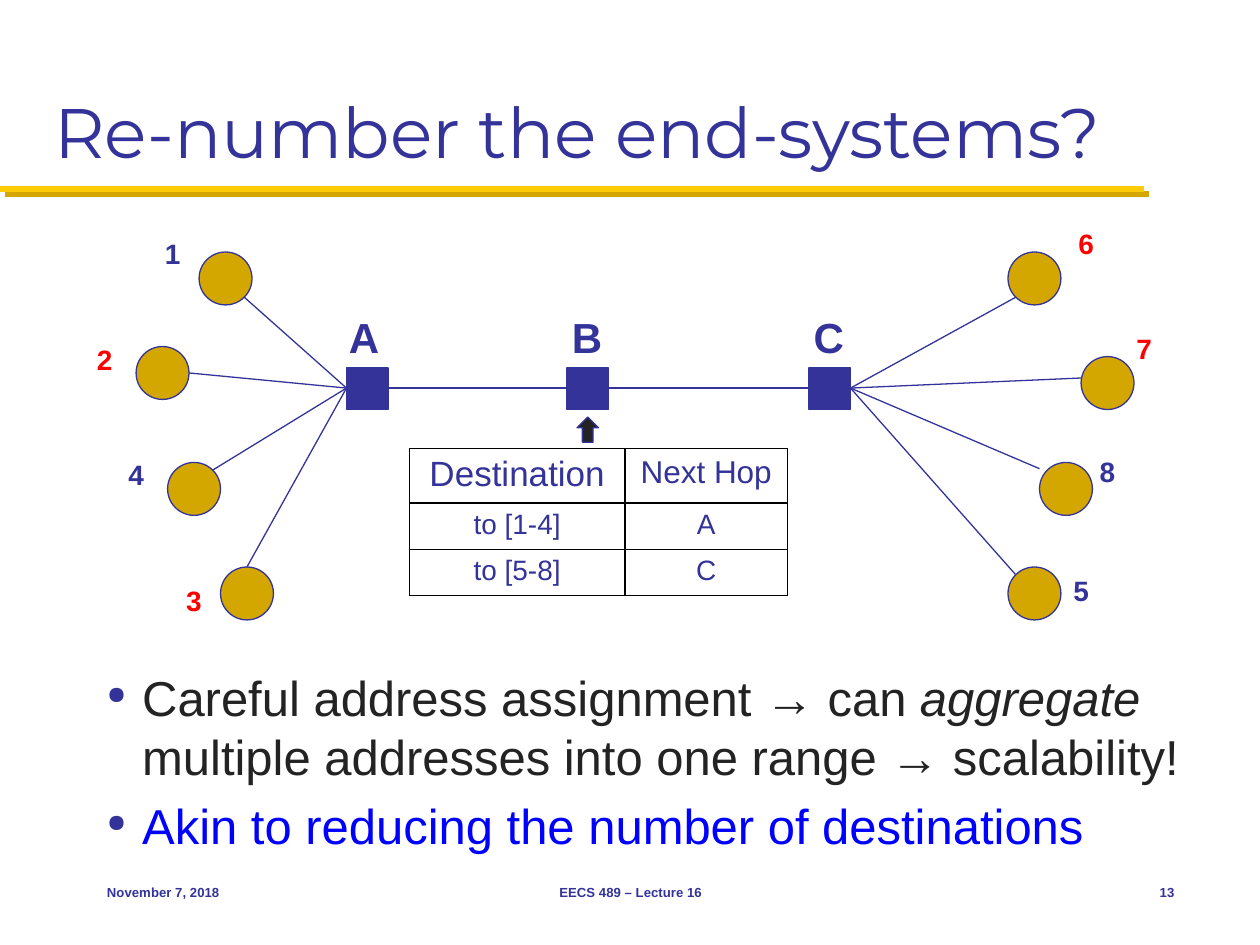
from dataclasses import dataclass

from lxml import etree
from pptx import Presentation
from pptx import util as u
from pptx.dml.color import RGBColor
from pptx.enum import shapes, text
from pptx.oxml.ns import qn

NAVY = RGBColor(0x33, 0x33, 0x99)
GOLD = RGBColor(0xD3, 0xA6, 0x00)
MAIZE = RGBColor(0xFF, 0xCB, 0x05)
INK = RGBColor(0x23, 0x23, 0x23)
RED = RGBColor(0xFF, 0, 0)
BLUE = RGBColor(0, 0, 0xFF)
WHITE = RGBColor(0xFF, 0xFF, 0xFF)
SHAPE = shapes.MSO_SHAPE
ALIGN = text.PP_ALIGN
ANCHOR = text.MSO_ANCHOR
Point = tuple[float, float]

HUB = 0.33
DISC = 0.42
MID = 3.08  # height of the links between routers


@dataclass
class Router:
    name: str
    left: float
    label: Point


@dataclass
class Host:
    name: str
    color: RGBColor
    spot: Point
    label: Point
    port: Point  # where the link leaves the host


ROUTERS = [
    Router("A", 2.75, (2.67, 2.42)),
    Router("B", 4.5, (4.44, 2.42)),
    Router("C", 6.42, (6.36, 2.42)),
]
WEST = [
    Host("1", NAVY, (1.58, 2), (1.21, 1.83), (1.94, 2.36)),
    Host("2", RED, (1.08, 2.75), (0.67, 2.67), (1.5, 2.96)),
    Host("3", RED, (1.75, 4.5), (1.38, 4.58), (1.96, 4.5)),
    Host("4", NAVY, (1.33, 3.67), (0.92, 3.58), (1.69, 3.73)),
]
EAST = [
    Host("5", NAVY, (8, 4.5), (8.42, 4.5), (8.06, 4.56)),
    Host("6", RED, (8, 2), (8.46, 1.75), (8.06, 2.36)),
    Host("7", RED, (8.58, 2.83), (8.92, 2.58), (8.58, 3)),
    Host("8", NAVY, (8.25, 3.67), (8.63, 3.56), (8.25, 3.72)),
]


def style(par, size: float, color: RGBColor = NAVY, bold: bool = False,
          face: str = "Arial") -> None:
    font = par.font
    font.name, font.size, font.bold = face, u.Pt(size), bold
    font.color.rgb = color


def draw_line(slide, start: Point, end: Point, color: RGBColor = NAVY,
              width: float = 0.75):
    """Draw a straight line and return its empty effect list."""
    line = slide.shapes.add_connector(
        shapes.MSO_CONNECTOR.STRAIGHT, *map(u.Inches, start + end))
    line.line.color.rgb = color
    line.line.width = u.Pt(width)
    return etree.SubElement(line._element.spPr, qn("a:effectLst"))


def draw_shape(slide, kind, spot: Point, size: Point, fill: RGBColor) -> None:
    shape = slide.shapes.add_shape(kind, *map(u.Inches, spot + size))
    shape.shadow.inherit = False
    shape.fill.solid()
    shape.fill.fore_color.rgb = fill
    shape.line.color.rgb = NAVY
    shape.line.width = u.Pt(0.75)


def add_text(slide, words: str, spot: Point, size: Point, points: float,
             color: RGBColor = NAVY, align=ALIGN.LEFT, anchor=ANCHOR.TOP) -> None:
    box = slide.shapes.add_textbox(*map(u.Inches, spot + size))
    frame = box.text_frame
    frame.word_wrap = False
    frame.vertical_anchor = anchor
    par = frame.paragraphs[0]
    par.text, par.alignment = words, align
    style(par, points, color, True)


def add_bullet(par) -> None:
    props = par._p.get_or_add_pPr()
    props.set("marL", str(u.Inches(0.28)))
    props.set("indent", str(-u.Inches(0.28)))
    tint = etree.SubElement(props, qn("a:buClr"))
    etree.SubElement(tint, qn("a:srgbClr"), val=str(NAVY))
    etree.SubElement(props, qn("a:buSzPct"), val="50000")
    etree.SubElement(props, qn("a:buChar"), char="●")


def add_head(slide) -> None:
    title = slide.shapes.title
    title.left, title.top, title.width, title.height = map(
        u.Inches, (0.33, 0.17, 9.33, 1.25))
    frame = title.text_frame
    frame.vertical_anchor = ANCHOR.BOTTOM
    par = frame.paragraphs[0]
    par.text, par.alignment = "Re-number the end-systems?", ALIGN.LEFT
    style(par, 40, face="Montserrat")

    # Rule with an offset shadow
    effects = draw_line(slide, (0, 1.5), (9.08, 1.5), MAIZE, 3.5)
    shade = etree.SubElement(effects, qn("a:outerShdw"), blurRad="0",
                             dist=str(u.Pt(4.2)), dir="2700000", algn="ctr",
                             rotWithShape="0")
    etree.SubElement(shade, qn("a:srgbClr"), val=str(GOLD))


def add_body(slide) -> None:
    box = slide.shapes.add_textbox(*map(u.Inches, (0.75, 5.25, 8.75, 1.57)))
    frame = box.text_frame
    frame.word_wrap = True
    points = [
        (INK, ["Careful address assignment → can ", "aggregate",
               " multiple addresses into one range → scalability!"]),
        (BLUE, ["Akin to reducing the number of destinations"]),
    ]
    for i, (color, parts) in enumerate(points):
        par = frame.add_paragraph() if i else frame.paragraphs[0]
        add_bullet(par)
        if i:
            par.space_before = u.Pt(5.6)
        style(par, 28, color)
        for part in parts:
            run = par.add_run()
            run.text = part
            if part == "aggregate":
                run.font.italic = True


def add_routes(slide) -> None:
    rows = [("Destination", "Next Hop"), ("to [1-4]", "A"), ("to [5-8]", "C")]
    sizes = [(20, 18), (16, 16), (16, 16)]
    table = slide.shapes.add_table(
        3, 2, *map(u.Inches, (3.25, 3.56, 3, 1.1))).table
    table.first_row = table.horz_banding = False
    for col, width in zip(table.columns, (1.71, 1.29)):
        col.width = u.Inches(width)
    for r, height in enumerate((0.41, 0.34, 0.34)):
        table.rows[r].height = u.Inches(height)
        for c, words in enumerate(rows[r]):
            cell = table.cell(r, c)
            props = cell._tc.get_or_add_tcPr()
            for side in "LRTB":
                edge = etree.SubElement(props, qn(f"a:ln{side}"), w=str(u.Pt(1)))
                fill = etree.SubElement(edge, qn("a:solidFill"))
                etree.SubElement(fill, qn("a:srgbClr"), val="000000")
            cell.fill.solid()
            cell.fill.fore_color.rgb = WHITE
            par = cell.text_frame.paragraphs[0]
            par.text, par.alignment = words, ALIGN.CENTER
            style(par, sizes[r][c])


def add_net(slide) -> None:
    # Links
    for hosts, hub in ((WEST, (2.75, MID)), (EAST, (6.75, MID))):
        for host in hosts:
            draw_line(slide, host.port, hub)
    for near, far in zip(ROUTERS, ROUTERS[1:]):
        draw_line(slide, (near.left + HUB, MID), (far.left, MID))

    # Routers and hosts
    for hub in ROUTERS:
        draw_shape(slide, SHAPE.RECTANGLE, (hub.left, 2.92), (HUB, HUB), NAVY)
        add_text(slide, hub.name, hub.label, (0.42, 0.5), 24)
    for host in WEST + EAST:
        draw_shape(slide, SHAPE.OVAL, host.spot, (DISC, DISC), GOLD)
        add_text(slide, host.name, host.label, (0.33, 0.37), 16, host.color)

    # Pointer from the table to router B
    draw_shape(slide, SHAPE.UP_ARROW, (4.58, 3.31), (0.17, 0.2), INK)


def add_foot(slide) -> None:
    for words, left, width, align in (
            ("November 7, 2018", 0.75, 2.08, ALIGN.LEFT),
            ("EECS 489 – Lecture 16", 3.42, 3.17, ALIGN.CENTER),
            ("13", 8.75, 0.67, ALIGN.RIGHT)):
        add_text(slide, words, (left, 6.83), (width, 0.5), 7.5,
                 align=align, anchor=ANCHOR.MIDDLE)


def main() -> None:
    deck = Presentation()
    deck.slide_width, deck.slide_height = u.Inches(10), u.Inches(7.5)
    slide = deck.slides.add_slide(deck.slide_layouts[5])
    for add in (add_head, add_body, add_routes, add_net, add_foot):
        add(slide)
    deck.save("out.pptx")


if __name__ == "__main__":
    main()
